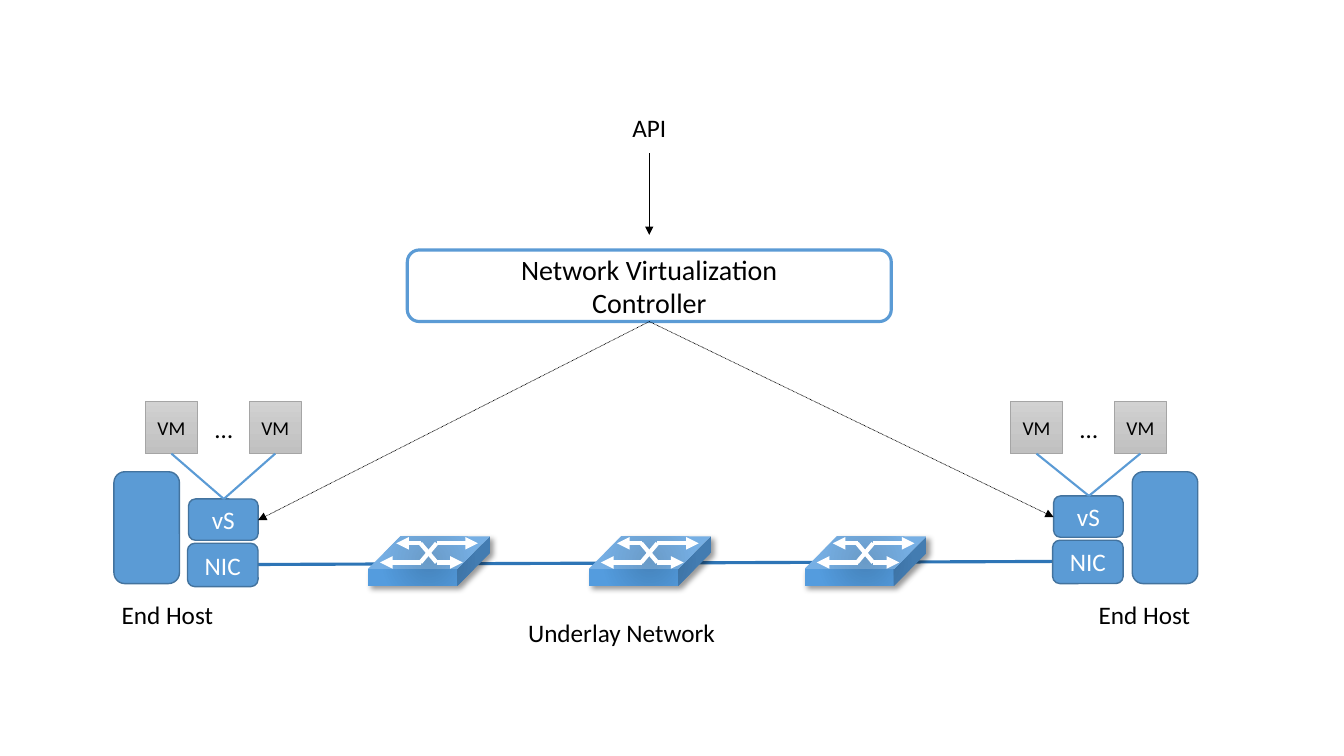
from pptx import Presentation
from pptx.dml.color import RGBColor
from pptx.enum import dml, shapes, text
from pptx.oxml import parse_xml
from pptx.oxml.ns import nsdecls, qn
from pptx.util import Pt

BLACK = RGBColor(0, 0, 0)
WHITE = RGBColor(255, 255, 255)
BLUE = RGBColor(0x5B, 0x9B, 0xD5)
EDGE = RGBColor(0x43, 0x73, 0x9E)
DEEP = RGBColor(0x2E, 0x75, 0xB6)
GREY = RGBColor(0xA5, 0xA5, 0xA5)
SILVER = [(0, RGBColor(0xD2, 0xD2, 0xD2)), (50, RGBColor(0xC8, 0xC8, 0xC8)),
          (100, RGBColor(0xC0, 0xC0, 0xC0))]
OCEAN = [(0, RGBColor(0x30, 0x5C, 0x84)), (0, RGBColor(0x45, 0x83, 0xBB)),
         (75, RGBColor(0x54, 0x9C, 0xDE))]
DOWN = '<a:lin ang="5400000" scaled="0"/>'
ROUND = ('<a:path path="circle">'
         '<a:fillToRect l="50000" t="50000" r="50000" b="50000"/></a:path>')
KIND = shapes.MSO_SHAPE


class Board:
    """Draws on one slide; 100 px make an inch."""
    font = "Calibri"
    scale = 9144

    def __init__(self, slide):
        self.slide = slide

    def emu(self, *px):
        return [n * self.scale for n in px]

    def letter(self, frame, words, size, color):
        """Fill a text frame with centred lines."""
        para = frame.paragraphs[0]
        para.alignment = text.PP_ALIGN.CENTER
        for i, line in enumerate(words.split("\n")):
            if i:
                para.add_line_break()
            run = para.add_run()
            run.text = line
            run.font.name = self.font
            run.font.size = Pt(size)
            run.font.color.rgb = color

    def box(self, x, y, w, h, words="", kind=KIND.ROUNDED_RECTANGLE, fill=BLUE,
            edge=EDGE, width=1, size=18, color=WHITE):
        shape = self.slide.shapes.add_shape(kind, *self.emu(x, y, w, h))
        shape.shadow.inherit = False
        shape.fill.solid()
        shape.fill.fore_color.rgb = fill
        if edge is None:
            shape.line.fill.background()
        else:
            shape.line.color.rgb = edge
            shape.line.width = Pt(width)
        if words:
            frame = shape.text_frame
            frame.margin_left = frame.margin_right = 0
            frame.margin_top = frame.margin_bottom = 0
            frame.vertical_anchor = text.MSO_ANCHOR.MIDDLE
            self.letter(frame, words, size, color)
        return shape

    def blend(self, shape, stops, mode):
        """Replace the solid fill with a gradient."""
        marks = "".join(f'<a:gs pos="{at * 1000}"><a:srgbClr val="{color}"/></a:gs>'
                        for at, color in stops)
        props = shape._element.spPr
        props.replace(props.find(qn("a:solidFill")), parse_xml(
            f'<a:gradFill {nsdecls("a")} rotWithShape="1">'
            f'<a:gsLst>{marks}</a:gsLst>{mode}</a:gradFill>'))

    def shade(self, shape):
        """Cast a soft shadow to the lower right."""
        shape._element.spPr.find(qn("a:effectLst")).append(parse_xml(
            f'<a:outerShdw {nsdecls("a")} blurRad="{Pt(4)}" dist="{Pt(3)}" '
            'dir="2700000" algn="tl" rotWithShape="0"><a:srgbClr val="000000">'
            '<a:alpha val="40000"/></a:srgbClr></a:outerShdw>'))

    def link(self, start, end, color, width, head=False, dash=None):
        line = self.slide.shapes.add_connector(
            shapes.MSO_CONNECTOR.STRAIGHT, *self.emu(*start, *end))
        line.line.color.rgb = color
        line.line.width = Pt(width)
        if dash:
            line.line.dash_style = dash
        props = line._element.spPr
        if head:
            props.find(qn("a:ln")).append(
                parse_xml(f'<a:tailEnd {nsdecls("a")} type="triangle"/>'))
        props.append(parse_xml(f'<a:effectLst {nsdecls("a")}/>'))

    def label(self, x, y, w, words):
        frame = self.slide.shapes.add_textbox(*self.emu(x, y, w, 40)).text_frame
        frame.word_wrap = False
        frame.auto_size = text.MSO_AUTO_SIZE.SHAPE_TO_FIT_TEXT
        self.letter(frame, words, 18, BLACK)

    def host(self, x, y, block, name):
        """Draw an end host; x, y is the corner of its NIC."""
        self.box(block, 468, 65, 111)
        self.box(x, y, 70, 43, "NIC")
        top = y - 44
        self.box(x + 1, top, 69, 41, "vS")
        for left in (x - 42, x + 61):
            guest = self.box(left, 398, 52, 52, "VM", KIND.RECTANGLE,
                             edge=GREY, width=0.5, size=14, color=BLACK)
            self.blend(guest, SILVER, DOWN)
            self.link((x + 36, top), (left + 26, 450), BLUE, 1.5)
        self.label(x + 17, 405, 38, "…")
        self.label(name, 590, 112, "End Host")

    def switch(self, x, y):
        cube = self.box(x, y, 121, 49, kind=KIND.CUBE, edge=None)
        cube.adjustments[0] = 0.66
        self.blend(cube, OCEAN, ROUND)
        self.shade(cube)
        high, low = y + 7, y + 26
        for start, end, row in ((68, 109, high), (68, 94, low),
                                (53, 28, high), (53, 12, low)):
            self.link((x + start, row), (x + end, row), WHITE, 3, head=True)
        for start, end in ((52, 68), (68, 52)):
            self.link((x + start, low), (x + end, high), WHITE, 3)


def main():
    deck = Presentation()
    deck.slide_width, deck.slide_height = 1333 * Board.scale, 750 * Board.scale
    board = Board(deck.slides.add_slide(deck.slide_layouts[6]))

    board.link((256, 560), (1044, 557), DEEP, 2.25)
    board.host(186, 539, block=113, name=110)
    board.host(1044, 536, block=1123, name=1079)

    board.box(404, 248, 480, 71, "Network Virtualization\nController",
              fill=WHITE, edge=BLUE, width=2.25, size=20, color=BLACK)
    for end in ((256, 516), (1045, 513)):
        board.link((644, 319), end, BLACK, 0.5, head=True,
                   dash=dml.MSO_LINE.ROUND_DOT)
    board.label(617, 107, 54, "API")
    board.link((644, 152), (644, 233), BLACK, 1, head=True)

    for x in (365, 584, 798):
        board.switch(x, 532)
    board.label(513, 608, 207, "Underlay Network")

    deck.save("out.pptx")


if __name__ == "__main__":
    main()
